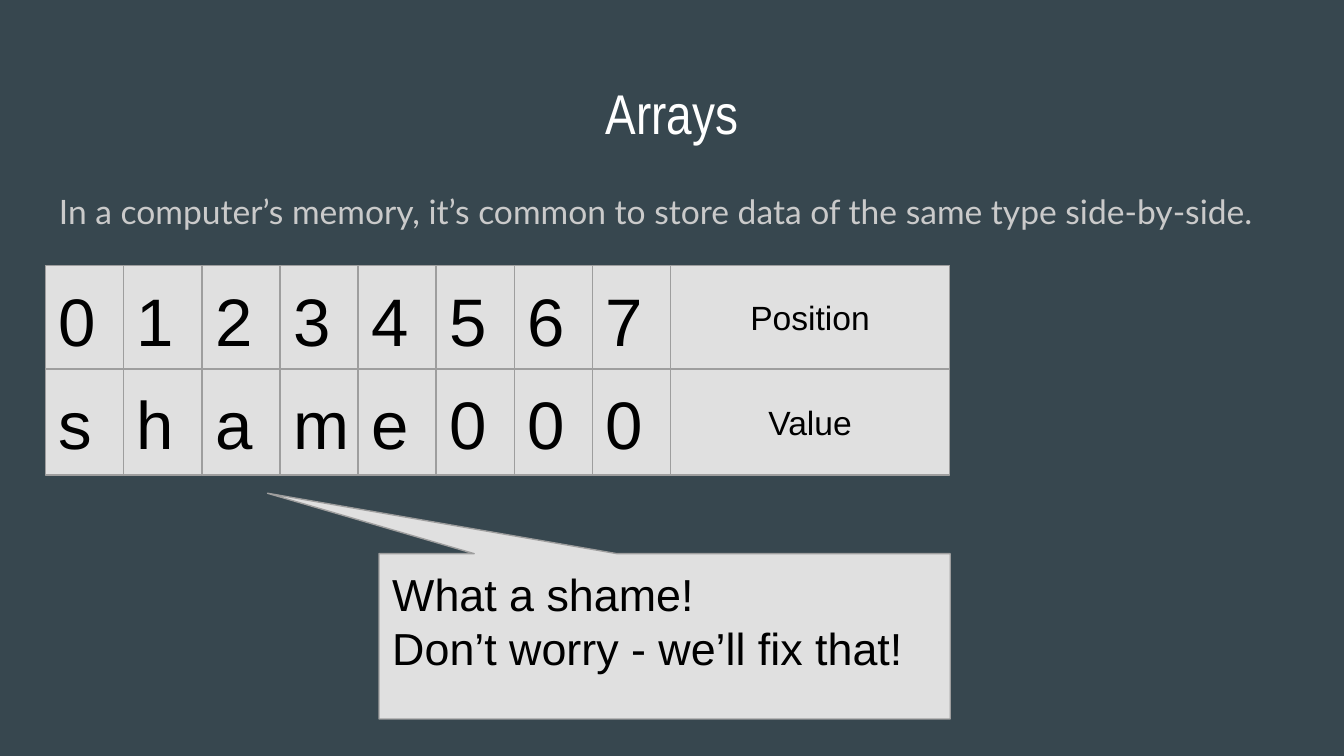
from dataclasses import dataclass

from pptx import Presentation
from pptx import util as u
from pptx.dml.color import RGBColor
from pptx.enum import shapes, text

SCALE = 4572  # EMU per px, 200 px to the inch


@dataclass(frozen=True)
class Theme:
    back: str = "37474F"
    head: str = "FFFFFF"
    body: str = "CACACA"
    fill: str = "E0E0E0"
    line: str = "9E9E9E"
    ink: str = "000000"
    narrow: str = "Arial Narrow"
    sans: str = "Arial"
    lato: str = "Lato"
    title: int = 30
    cell: int = 36
    note: int = 24
    small: int = 18
    pad: int = 20


T = Theme()
KIND = shapes.MSO_SHAPE
LEFT, MID = text.PP_ALIGN.LEFT, text.PP_ALIGN.CENTER
TOP, CENTER = text.MSO_ANCHOR.TOP, text.MSO_ANCHOR.MIDDLE


def emu(box):
    return [round(n * SCALE) for n in box]


def write(shape, lines, size, font, color, align=LEFT, anchor=TOP):
    frame = shape.text_frame
    frame.word_wrap = True
    frame.auto_size = text.MSO_AUTO_SIZE.NONE
    frame.vertical_anchor = anchor
    pad = T.pad * SCALE
    frame.margin_left = frame.margin_right = pad
    frame.margin_top = frame.margin_bottom = pad
    for i, line in enumerate(lines):
        para = frame.add_paragraph() if i else frame.paragraphs[0]
        para.alignment = align
        run = para.add_run()
        run.text = line
        run.font.size = u.Pt(size)
        run.font.name = font
        run.font.color.rgb = RGBColor.from_string(color)


def block(slide, box, lines, size, kind=KIND.RECTANGLE, **place):
    shape = slide.shapes.add_shape(kind, *emu(box))
    shape.shadow.inherit = False
    shape.fill.solid()
    shape.fill.fore_color.rgb = RGBColor.from_string(T.fill)
    shape.line.color.rgb = RGBColor.from_string(T.line)
    shape.line.width = u.Pt(0.75)
    write(shape, lines, size, T.sans, T.ink, **place)
    return shape


def heading(slide, box, line):
    title = slide.shapes.title
    title.left, title.top, title.width, title.height = emu(box)
    write(title, [line], T.title, T.narrow, T.head, align=MID)


def intro(slide, box, line):
    shape = slide.shapes.add_textbox(*emu(box))
    write(shape, [line], T.small, T.lato, T.body)
    para = shape.text_frame.paragraphs[0]
    para.line_spacing = 1.15
    para.space_after = u.Pt(16)


def memory(slide, box, rows, side, lap):
    """Draw rows of one-letter cells, then their labels, side px wide.

    Each cell reaches lap px into the row below it.
    """
    left, top, width, height = box
    step = (height - lap) / len(rows)
    edge = left + width - side
    for r, (_, marks) in enumerate(rows):
        wide = (width - side) / len(marks)
        for c, mark in enumerate(marks):
            spot = (left + c * wide, top + r * step, wide, step + lap)
            block(slide, spot, [mark], T.cell)
    for r, (label, _) in enumerate(rows):
        tall = step + lap if r == len(rows) - 1 else step
        block(slide, (edge, top + r * step, side, tall), [label], T.small,
              align=MID, anchor=CENTER)


def callout(slide, box, lines, tip):
    """Draw a callout that points at tip, a place on the slide in px."""
    left, top, width, height = box
    shape = block(slide, box, lines, T.note, KIND.RECTANGULAR_CALLOUT)
    shape.adjustments[0] = (tip[0] - left) / width - 0.5
    shape.adjustments[1] = (tip[1] - top) / height - 0.5


def main():
    deck = Presentation()
    deck.slide_width, deck.slide_height = emu((2000, 1125))
    slide = deck.slides.add_slide(deck.slide_layouts[5])
    slide.background.fill.solid()
    slide.background.fill.fore_color.rgb = RGBColor.from_string(T.back)

    heading(slide, (68, 97, 1864, 126), "Arrays")
    intro(slide, (68, 255, 1864, 747),
          "In a computer’s memory, it’s common to store data "
          "of the same type side-by-side.")
    memory(slide, (68, 395, 1345, 312),
           [("Position", "01234567"), ("Value", "shame000")], 415, 4)
    callout(slide, (564, 824, 850, 246),
            ["What a shame!", "Don’t worry - we’ll fix that!"],
            (398, 734))
    deck.save("out.pptx")


if __name__ == "__main__":
    main()
